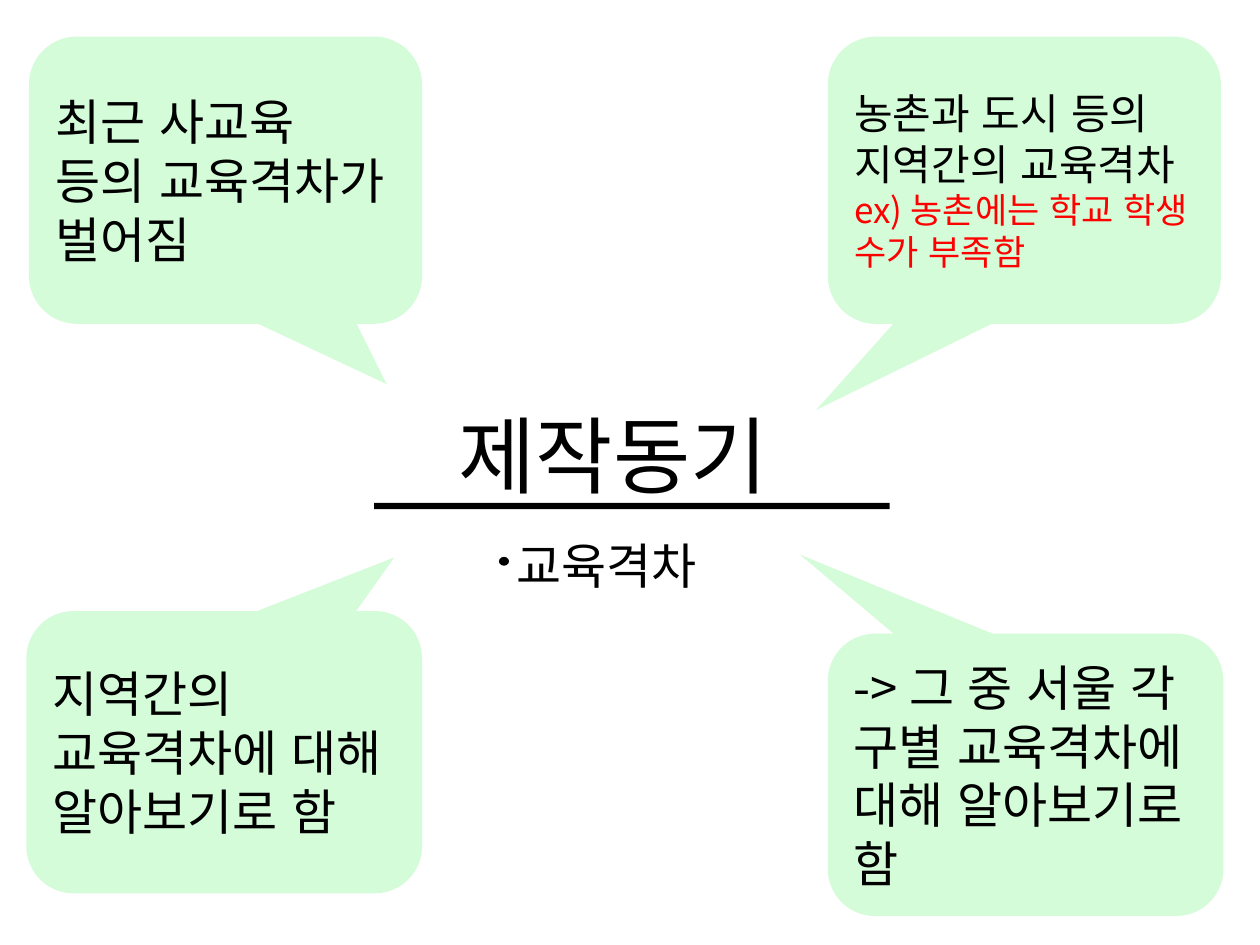
from lxml import etree
from pptx import Presentation
from pptx.dml.color import RGBColor
from pptx.enum.shapes import MSO_SHAPE
from pptx.enum.text import MSO_ANCHOR, MSO_AUTO_SIZE, PP_ALIGN
from pptx.oxml.ns import qn
from pptx.util import Inches, Pt

CALLOUT = MSO_SHAPE.ROUNDED_RECTANGULAR_CALLOUT
RECTANGLE, OVAL = MSO_SHAPE.RECTANGLE, MSO_SHAPE.OVAL
TOP, MIDDLE = MSO_ANCHOR.TOP, MSO_ANCHOR.MIDDLE
LEFT = PP_ALIGN.LEFT
NO_AUTOFIT = MSO_AUTO_SIZE.NONE

FONT = "Noto Sans CJK KR"
COLORS = {"text": "000000", "example": "FF0000", "bubble": "D4FCD9"}
CORNER = 0.167

# Box, pointer tip, and (text, size, colour) for each paragraph
CALLOUTS = [
    ((0.23, 0.29, 3.12, 2.28), (0.41, 0.71),
     [("최근 사교육 등의 교육격차가 벌어짐", 28, "text")]),
    ((0.21, 4.85, 3.14, 2.24), (0.43, -0.69),
     [("지역간의 교육격차에 대해 알아보기로 함", 28, "text")]),
    ((6.57, 0.29, 3.12, 2.28), (-0.53, 0.8),
     [("농촌과 도시 등의 지역간의 교육격차", 24, "text"),
      ("ex) 농촌에는 학교 학생 수가 부족함", 20, "example")]),
    ((6.57, 5.03, 3.14, 2.24), (-0.57, -0.78),
     [("-> 그 중 서울 각 구별 교육격차에 대해 알아보기로 함", 28, "text")]),
]


def color(name):
    return RGBColor.from_string(COLORS[name])


def write_text(shape, paragraphs, anchor):
    text_frame = shape.text_frame
    text_frame.text = "\n".join(text for text, _, _ in paragraphs)
    text_frame.word_wrap = True
    text_frame.auto_size = NO_AUTOFIT
    text_frame.vertical_anchor = anchor
    for paragraph, (_, size, color_name) in zip(text_frame.paragraphs, paragraphs):
        paragraph.alignment = LEFT
        paragraph.space_before = Pt(0)
        for run in paragraph.runs:
            run.font.size = Pt(size)
            run.font.name = FONT
            run.font.color.rgb = color(color_name)
            properties = run.font._element
            properties.set("lang", "ko-KR")
            etree.SubElement(properties, qn("a:ea"), typeface=FONT)


def add_filled_shape(slide, kind, box, color_name):
    shape = slide.shapes.add_shape(kind, *map(Inches, box))
    shape.shadow.inherit = False
    shape.fill.solid()
    shape.fill.fore_color.rgb = color(color_name)
    shape.line.fill.background()
    return shape


def place_placeholder(placeholder, box, text, size):
    placeholder.left, placeholder.top, placeholder.width, placeholder.height = map(Inches, box)
    write_text(placeholder, [(text, size, "text")], TOP)


def add_heading(slide, box):
    left, top, width, height = box
    title, body = slide.placeholders[0], slide.placeholders[1]

    # Title and the rule under it
    place_placeholder(title, (left + 0.57, top, 3.51, 0.91), "제작동기", 48)
    add_filled_shape(slide, RECTANGLE, (left, top + 0.84, width, 0.05), "text")

    # Topic, with a drawn dot in place of the list bullet
    place_placeholder(body, (left + 1.03, top + height - 0.57, 3.24, 0.57), "교육격차", 28)
    properties = body.text_frame.paragraphs[0]._p.get_or_add_pPr()
    properties.set("marL", "0")
    properties.set("indent", "0")
    etree.SubElement(properties, qn("a:buNone"))
    add_filled_shape(slide, OVAL, (left + 0.99, top + 1.27, 0.08, 0.07), "text")


def add_callout(slide, box, tip, paragraphs):
    callout = add_filled_shape(slide, CALLOUT, box, "bubble")
    for index, value in enumerate((*tip, CORNER)):
        callout.adjustments[index] = value
    write_text(callout, paragraphs, MIDDLE)


def main():
    presentation = Presentation()
    presentation.slide_width, presentation.slide_height = Inches(10), Inches(7.5)
    slide = presentation.slides.add_slide(presentation.slide_layouts[1])
    add_heading(slide, (2.97, 3.15, 4.09, 1.62))
    for box, tip, paragraphs in CALLOUTS:
        add_callout(slide, box, tip, paragraphs)
    presentation.save("out.pptx")


if __name__ == "__main__":
    main()
